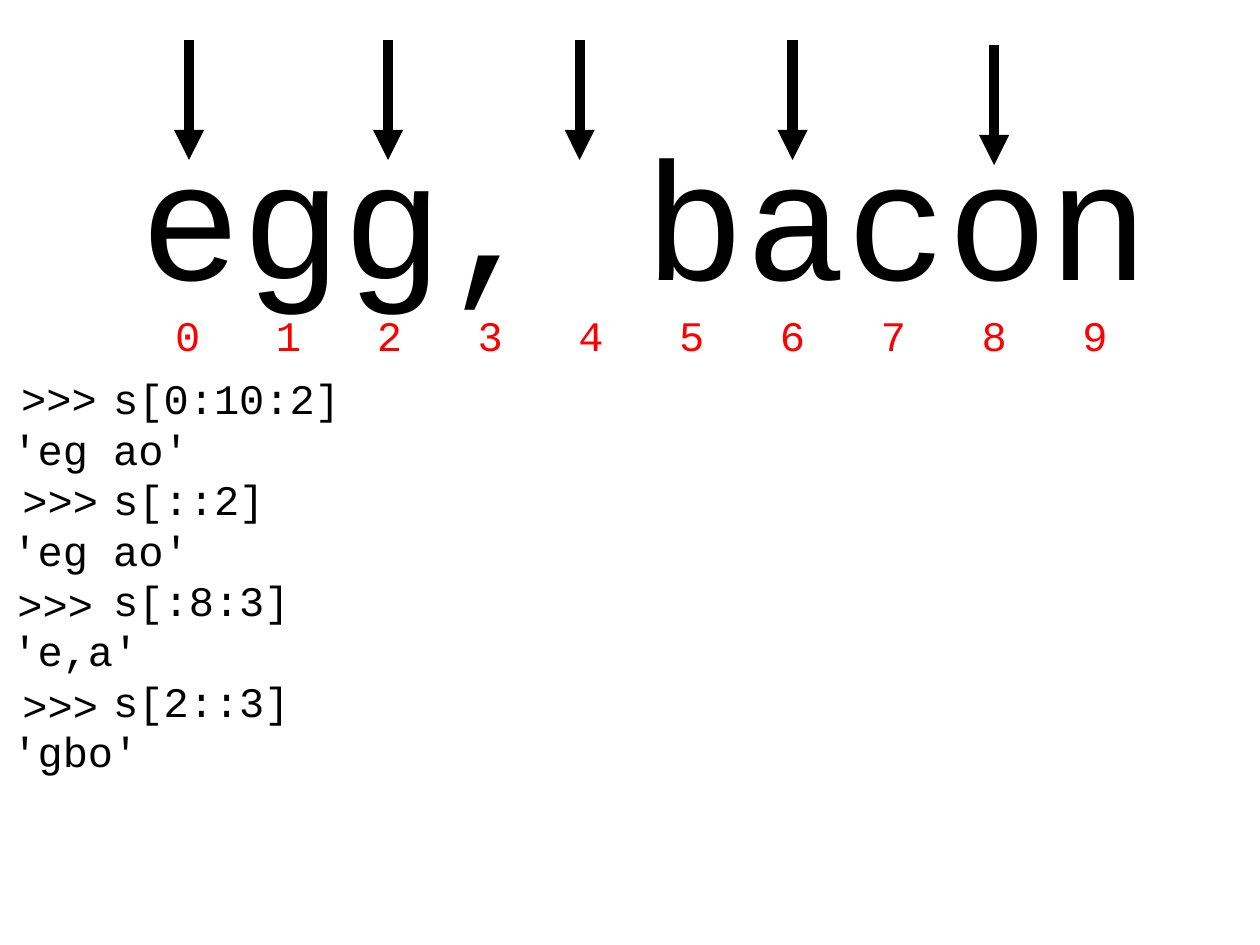
from lxml import etree
from pptx import Presentation, util as u
from pptx.dml.color import RGBColor
from pptx.enum import shapes, text
from pptx.oxml.ns import qn

INK = {"black": "000000", "red": "FF0000"}
FONT = "Courier New"
PAD = 0.1
STEP = 0.8
CODE = [
    "    s[0:10:2]", "'eg ao'",
    "    s[::2]", "'eg ao'",
    "    s[:8:3]", "'e,a'",
    "    s[2::3]", "'gbo'",
]
ARROWS = [(1.5, 0.32), (3.08, 0.32), (4.6, 0.32), (6.29, 0.32), (7.89, 0.36)]
PROMPTS = [(0.07, 2.91), (0.08, 3.72), (0.04, 4.54), (0.08, 5.34)]


def write(home, lines, x, y, w, h, size=24, ink="black", left=PAD, tabs=()):
    box = home.add_textbox(*map(u.Inches, (x, y, w, h)))
    frame = box.text_frame
    frame.word_wrap = True
    frame.auto_size = text.MSO_AUTO_SIZE.SHAPE_TO_FIT_TEXT
    frame.margin_left = u.Inches(left)
    frame.text = "\n".join(lines)
    for para in frame.paragraphs:
        if tabs:
            stops = etree.SubElement(para._p.get_or_add_pPr(), qn("a:tabLst"))
            for spot in tabs:
                etree.SubElement(stops, qn("a:tab"), pos=str(u.Inches(spot)), algn="l")
        for run in para.runs:
            run.font.name = FONT
            run.font.size = u.Pt(size)
            run.font.color.rgb = RGBColor.from_string(INK[ink])


def arrow(home, x, y, drop=0.95):
    ends = map(u.Inches, (x, y, x, y + drop))
    line = home.add_connector(shapes.MSO_CONNECTOR.STRAIGHT, *ends)
    line.line.width = u.Pt(5.75)
    line.line.color.rgb = RGBColor.from_string(INK["black"])
    etree.SubElement(line.line._get_or_add_ln(), qn("a:tailEnd"), type="triangle")
    etree.SubElement(line._element.spPr, qn("a:effectLst"))


def word(home):
    group = home.add_group_shape().shapes
    letters = "egg, bacon"
    write(group, [letters], 1.02, 0.84, 8.55, 1.72, size=96)
    count = len(letters)
    marks = "\t".join(str(n) for n in range(count))
    stops = [STEP * n for n in range(1, count)]
    write(group, [marks], 1.09, 2.41, 8.48, 0.5, ink="red", left=PAD + STEP / 4, tabs=stops)


def main():
    deck = Presentation()
    deck.slide_width, deck.slide_height = u.Inches(10), u.Inches(7.5)
    home = deck.slides.add_slide(deck.slide_layouts[6]).shapes
    write(home, CODE, 0, 2.91, 9.34, 3.74)
    for x, y in ARROWS:
        arrow(home, x, y)
    word(home)
    for x, y in PROMPTS:
        write(home, [">>>"], x, y, 0.87, 0.5)
    deck.save("out.pptx")


if __name__ == "__main__":
    main()
